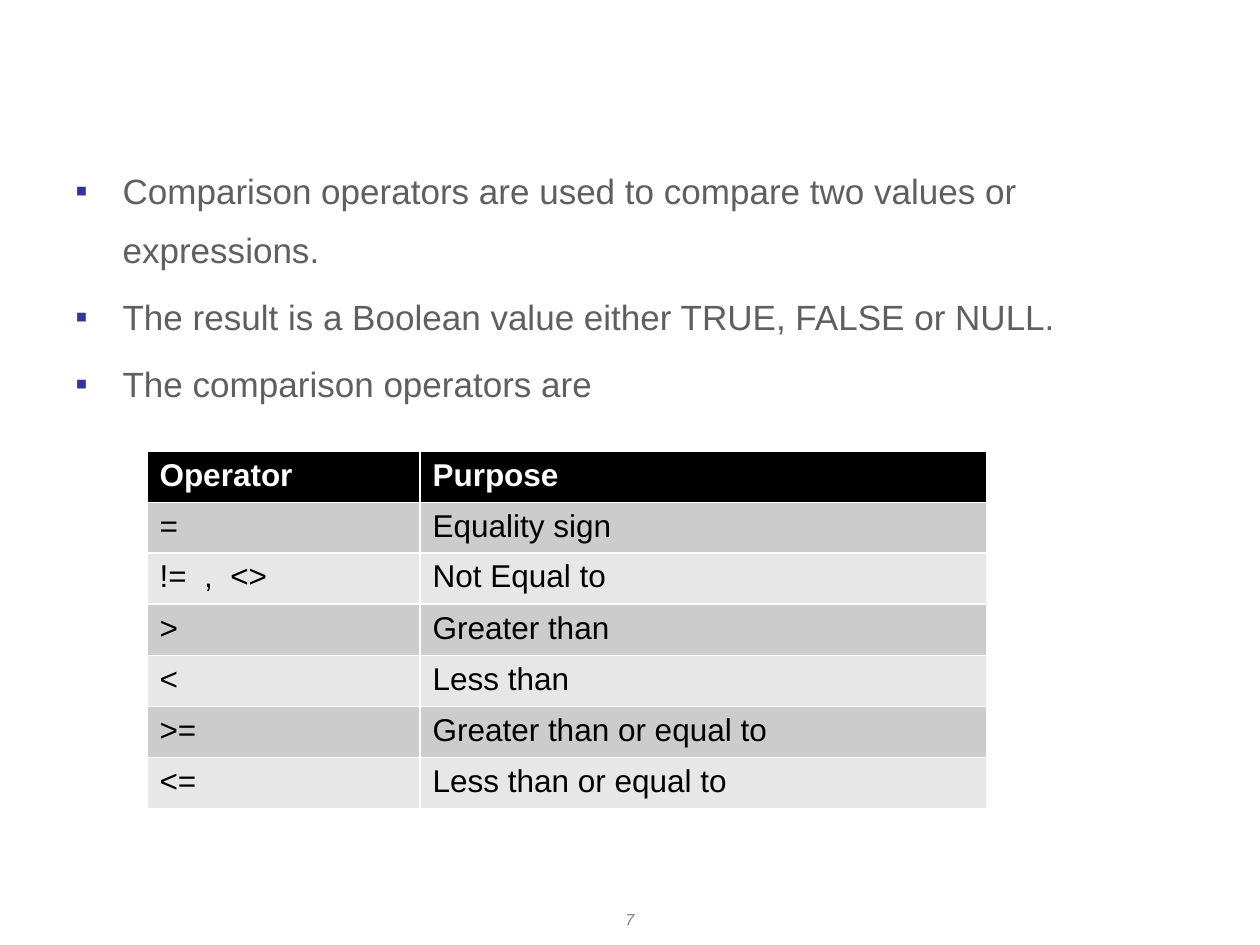
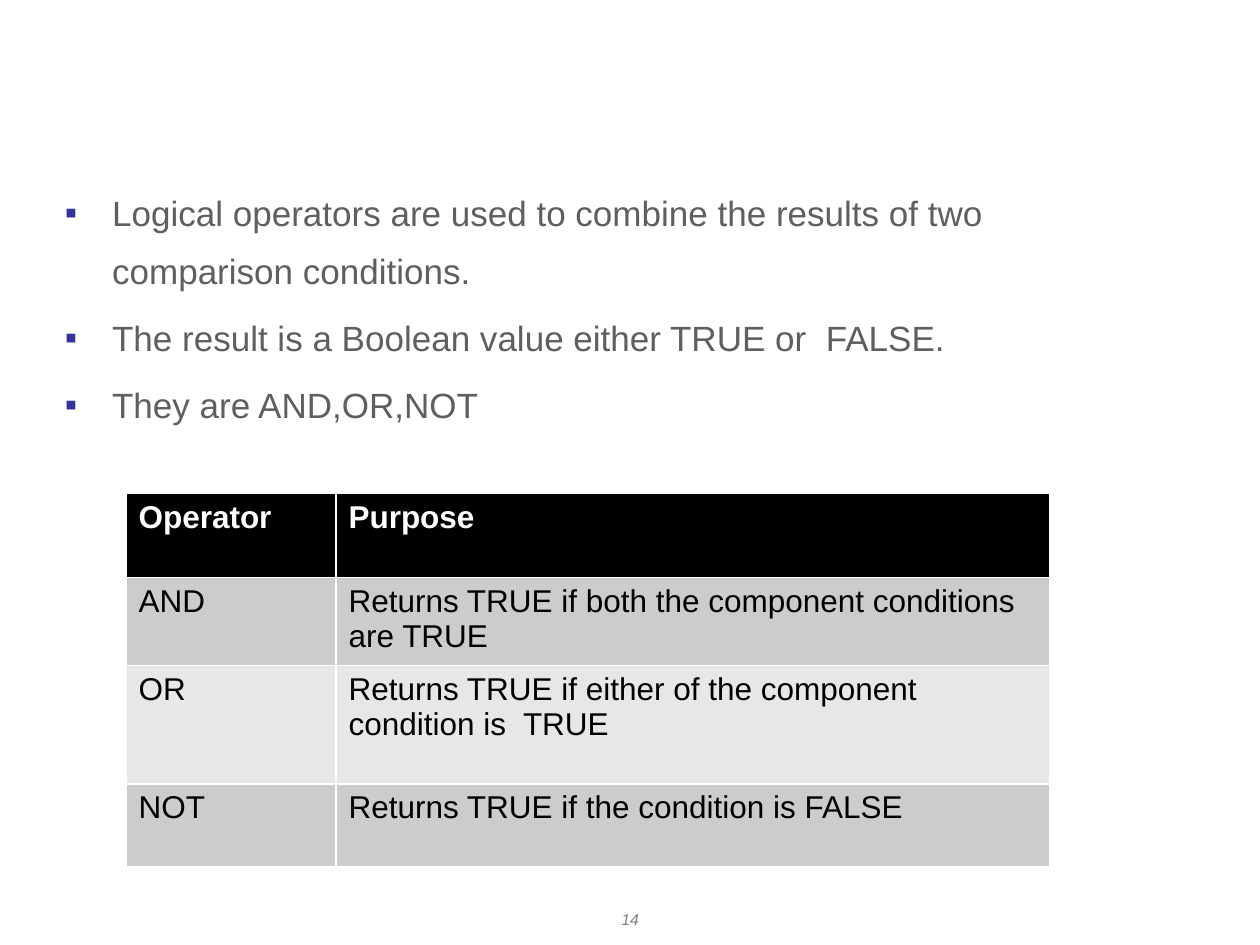
import pptx
import pptx.dml.color
import pptx.enum.text
import pptx.util
from lxml import etree

Pt = pptx.util.Pt
Align = pptx.enum.text.PP_ALIGN
Anchor = pptx.enum.text.MSO_ANCHOR
INK = {"body": "5F5F5F", "bullet": "333399", "page": "808080", "head": "000000",
       "light": "FFFFFF", "dark": "000000", "odd": "CCCCCC", "even": "E7E7E7"}
FONT = "Arial"
BLANK = 6


def write(para, text, size=18, ink="dark", bold=False, italic=False, align=Align.LEFT):
    run = para.add_run()
    run.text = text
    font = run.font
    font.name, font.size, font.bold, font.italic = FONT, Pt(size), bold, italic
    font.color.rgb = pptx.dml.color.RGBColor.from_string(INK[ink])
    para.alignment = align


class Deck:
    def __init__(self):
        self.file = pptx.Presentation()
        self.file.slide_width, self.file.slide_height = Pt(720), Pt(540)
        self.slide = None

    def page(self, number):
        self.slide = self.file.slides.add_slide(self.file.slide_layouts[BLANK])
        frame = self.box(276, 516, 168, 19)
        frame.vertical_anchor = Anchor.MIDDLE
        write(frame.paragraphs[0], number, size=9, ink="page", italic=True,
              align=Align.CENTER)

    def box(self, left, top, width, height):
        frame = self.slide.shapes.add_textbox(
            Pt(left), Pt(top), Pt(width), Pt(height)).text_frame
        frame.word_wrap = True
        return frame

    def list(self, left, top, height, items):
        frame = self.box(left, top, 648, height)
        for i, item in enumerate(items):
            para = frame.add_paragraph() if i else frame.paragraphs[0]
            write(para, item, size=20, ink="body")
            para.line_spacing = 1.4
            para.space_before = Pt(4.5)
            self.bullet(para)

    def bullet(self, para):
        props = para._p.get_or_add_pPr()
        props.set("marL", str(Pt(27)))
        props.set("indent", str(-Pt(27)))
        space = props.nsmap["a"]

        def add(parent, tag, **attrs):
            return etree.SubElement(parent, f"{{{space}}}{tag}", **attrs)

        add(add(props, "buClr"), "srgbClr", val=INK["bullet"])
        add(props, "buFont", typeface=FONT)
        add(props, "buChar", char="▪")

    def table(self, left, top, widths, heights, rows):
        grid = self.slide.shapes.add_table(
            len(rows), len(widths), Pt(left), Pt(top),
            Pt(sum(widths)), Pt(sum(heights))).table
        for col, width in zip(grid.columns, widths):
            col.width = Pt(width)
        for r, (texts, height) in enumerate(zip(rows, heights)):
            grid.rows[r].height = Pt(height)
            fill = "head" if r == 0 else "odd" if r % 2 else "even"
            for c, text in enumerate(texts):
                cell = grid.cell(r, c)
                cell.fill.solid()
                cell.fill.fore_color.rgb = pptx.dml.color.RGBColor.from_string(INK[fill])
                write(cell.text_frame.paragraphs[0], text,
                      ink="dark" if r else "light", bold=r == 0)


def main():
    deck = Deck()
    head = ("Operator", "Purpose")

    deck.page("7")
    deck.list(36, 84, 432, [
        "Comparison operators are used to compare two values or expressions.",
        "The result is a Boolean value either TRUE, FALSE or NULL.",
        "The comparison operators are"])
    deck.table(84, 258, [156, 324], [29.2, 27.3] + [29.2] * 5, [
        head,
        ("=", "Equality sign"),
        ("!=  ,  <>", "Not Equal to"),
        (">", "Greater than"),
        ("<", "Less than"),
        (">=", "Greater than or equal to"),
        ("<=", "Less than or equal to")])

    deck.page("14")
    deck.list(30, 96, 408, [
        "Logical operators are used to combine the results of two comparison conditions.",
        "The result is a Boolean value either TRUE or  FALSE.",
        "They are AND,OR,NOT"])
    deck.table(72, 282, [120, 408], [48, 47.4, 67.5, 47.4], [
        head,
        ("AND", "Returns TRUE if both the component conditions are TRUE"),
        ("OR", "Returns TRUE if either of the component condition is  TRUE"),
        ("NOT", "Returns TRUE if the condition is FALSE")])

    deck.file.save("out.pptx")


if __name__ == "__main__":
    main()
